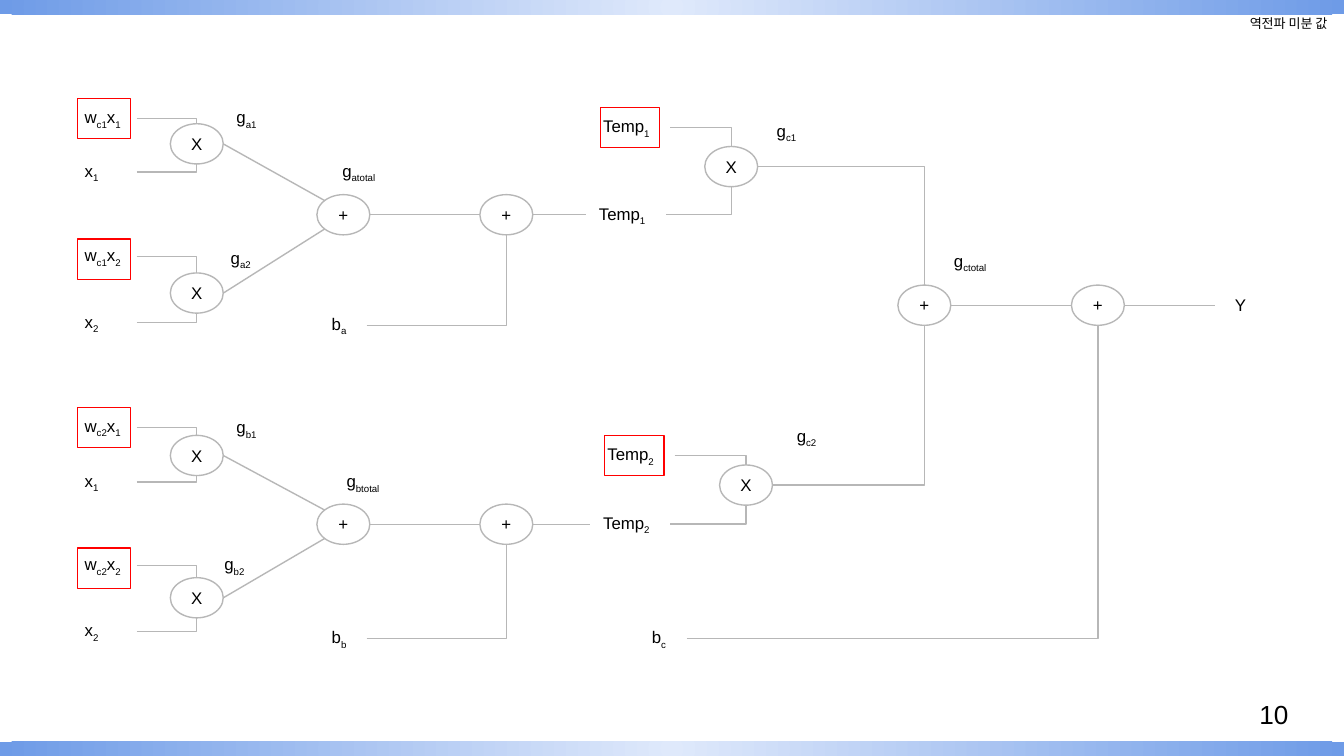
from math import sqrt

from lxml import etree
from pptx import Presentation
from pptx import util as u
from pptx.dml.color import RGBColor
from pptx.enum import shapes, text
from pptx.oxml.ns import qn

COLORS = {"ink": "000000", "wire": "B7B7B7", "mark": "FF0000",
          "band_mid": "DFE9FB", "band_edge": "6E9BE7"}
NODE_W, NODE_H = 1.0, 0.76
LABEL_H = 0.86
INSET = 0.25


class Node:
    def __init__(self, x, y):
        self.x, self.y = x, y
        self.left = (x - NODE_W / 2, y)
        self.right = (x + NODE_W / 2, y)

    def diagonal(self, down=False):
        """Point on the outline at 45 degrees, above or below the left end."""
        dx, dy = NODE_W / sqrt(8), NODE_H / sqrt(8)
        return self.x - dx, self.y + (dy if down else -dy)


class Diagram:
    def __init__(self, slide):
        self.slide = slide
        self.font = "Arial"
        self.size = 9
        self.weight = u.Pt(0.75)

    def color(self, name):
        return RGBColor.from_string(COLORS[name])

    def set_text(self, sp, content, size=None, align=text.PP_ALIGN.LEFT, inset=INSET):
        """Fill sp with content; every second part between underscores is a subscript."""
        tf = sp.text_frame
        tf.word_wrap = True
        tf.auto_size = text.MSO_AUTO_SIZE.NONE
        tf.vertical_anchor = text.MSO_ANCHOR.MIDDLE
        tf.margin_left = tf.margin_right = u.Cm(inset)
        tf.margin_top = tf.margin_bottom = u.Cm(inset)
        p = tf.paragraphs[0]
        p.alignment = align
        for i, part in enumerate(content.split("_")):
            r = p.add_run()
            r.text = part
            r.font.name = self.font
            r.font.size = u.Pt(size or self.size)
            r.font.color.rgb = self.color("ink")
            if i % 2:
                r._r.get_or_add_rPr().set("baseline", "-25000")

    def title(self, content, left, top, width, height):
        sp = self.slide.shapes.title
        sp.left, sp.top, sp.width, sp.height = map(u.Cm, (left, top, width, height))
        self.set_text(sp, content, size=7)

    def label(self, content, left, y, width=1.24, height=LABEL_H, size=None):
        """Add text centred on y; return the point at its right end."""
        sp = self.slide.shapes.add_textbox(
            u.Cm(left), u.Cm(y - height / 2), u.Cm(width), u.Cm(height))
        self.set_text(sp, content, size)
        return left + width, y

    def shape(self, kind, left, top, width, height, line=None):
        sp = self.slide.shapes.add_shape(kind, *map(u.Cm, (left, top, width, height)))
        sp.shadow.inherit = False
        sp.fill.background()
        if line:
            sp.line.color.rgb = self.color(line)
            sp.line.width = self.weight
        else:
            sp.line.fill.background()
        return sp

    def band(self, top):
        sp = self.shape(shapes.MSO_SHAPE.RECTANGLE, 0, top, 25.4, 0.27)
        sp.fill.gradient()
        for stop, name in zip(sp.fill.gradient_stops, ("band_mid", "band_edge")):
            stop.color.rgb = self.color(name)
        grad = sp._element.spPr.find(qn("a:gradFill"))
        grad.remove(grad.find(qn("a:lin")))
        circle = etree.SubElement(grad, qn("a:path"), {"path": "circle"})
        etree.SubElement(circle, qn("a:fillToRect"), dict.fromkeys("ltrb", "50000"))

    def node(self, x, y, sign):
        node = Node(x, y)
        sp = self.shape(shapes.MSO_SHAPE.OVAL, node.left[0], y - NODE_H / 2,
                        NODE_W, NODE_H, "wire")
        self.set_text(sp, sign, align=text.PP_ALIGN.CENTER, inset=0)
        return node

    def mark(self, left, y, width):
        self.shape(shapes.MSO_SHAPE.RECTANGLE, left, y - NODE_H / 2,
                   width, NODE_H, "mark")

    def wire(self, start, end, kind=shapes.MSO_CONNECTOR.STRAIGHT):
        sp = self.slide.shapes.add_connector(kind, *map(u.Cm, (*start, *end)))
        sp.line.color.rgb = self.color("wire")
        sp.line.width = self.weight
        etree.SubElement(sp._element.spPr, qn("a:effectLst"))
        return sp

    def feed(self, start, node):
        """Run level from start, then turn once into the top or bottom of node."""
        side = -1 if start[1] < node.y else 1
        sp = self.wire(start, (node.x, node.y + side * NODE_H / 2),
                       shapes.MSO_CONNECTOR.ELBOW)
        sp._element.spPr.find(qn("a:prstGeom")).set("prst", "bentConnector2")


# Per product: weight y, input y, node y, mark y, gradient label left and y
BRANCHES = [
    {"name": "a", "weight": "c1", "y": 4.06, "bias_y": 6.15,
     "products": [(2.24, 3.25, 2.72, 2.24, 4.22, 2.24),
                  (4.85, 6.1, 5.54, 4.9, 4.11, 4.9)],
     "total": (6.22, 3.25), "temp_x": 11.07, "factor": (11.15, 2.41),
     "gate": (13.82, 3.15), "gate_label": (14.43, 2.49)},
    {"name": "b", "weight": "c2", "y": 9.91, "bias_y": 12.07,
     "products": [(8.08, 9.11, 8.61, 8.08, 4.22, 8.1),
                  (10.69, 11.94, 11.3, 10.74, 3.99, 10.69)],
     "total": (6.3, 9.12), "temp_x": 11.15, "factor": (11.23, 8.61),
     "gate": (14.1, 9.17), "gate_label": (14.81, 8.26)},
]
INPUT_X, BIAS_W, TEMP_W = 1.35, 0.91, 1.52


def draw_branch(d, number, branch, output_sum):
    name, y = branch["name"], branch["y"]
    total = d.node(6.49, y, "+")
    biased = d.node(9.57, y, "+")
    for i, (weight_y, input_y, node_y, mark_y, g_x, g_y) in enumerate(
            branch["products"], 1):
        product = d.node(3.72, node_y, "X")
        d.feed(d.label(f"w_{branch['weight']}_x_{i}", INPUT_X, weight_y), product)
        d.feed(d.label(f"x_{i}", INPUT_X, input_y), product)
        d.label(f"g_{name}{i}", g_x, g_y)
        d.wire(product.right, total.diagonal(down=i == 2))
        d.mark(INPUT_X + 0.12, mark_y, 1.0)
    d.label(f"g_{name}total", *branch["total"])
    d.wire(total.right, biased.left)
    d.feed(d.label(f"b_{name}", 6.02, branch["bias_y"], BIAS_W), biased)

    gate = d.node(*branch["gate"], "X")
    d.wire(biased.right, (branch["temp_x"], y))
    d.feed(d.label(f"Temp_{number}", branch["temp_x"], y, TEMP_W), gate)
    factor_x, factor_y = branch["factor"]
    d.feed(d.label(f"Temp_{number}", factor_x, factor_y, TEMP_W), gate)
    d.mark(factor_x + 0.2, factor_y, 1.12)
    d.label(f"g_c{number}", *branch["gate_label"])
    d.feed(gate.right, output_sum)


def main():
    prs = Presentation()
    prs.slide_width, prs.slide_height = u.Cm(25.4), u.Cm(14.29)
    d = Diagram(prs.slides.add_slide(prs.slide_layouts[5]))

    for top in (14.02, 0):
        d.band(top)
    d.title("역전파 미분 값", 23.37, 0.2, 2.29, 0.48)
    d.label("10", 23.55, 13.5, 1.52, 1.09, size=14)

    output_sum = d.node(17.47, 5.77, "+")
    output_biased = d.node(20.75, 5.77, "+")
    for number, branch in enumerate(BRANCHES, 1):
        draw_branch(d, number, branch, output_sum)
    d.label("g_ctotal", 17.78, 4.95)
    d.wire(output_sum.right, output_biased.left)
    d.feed(d.label("b_c", 12.07, 12.07, BIAS_W), output_biased)
    d.wire(output_biased.right, (22.96, 5.77))
    d.label("Y", 23.09, 5.77, 1.09)

    prs.save("out.pptx")


if __name__ == "__main__":
    main()
